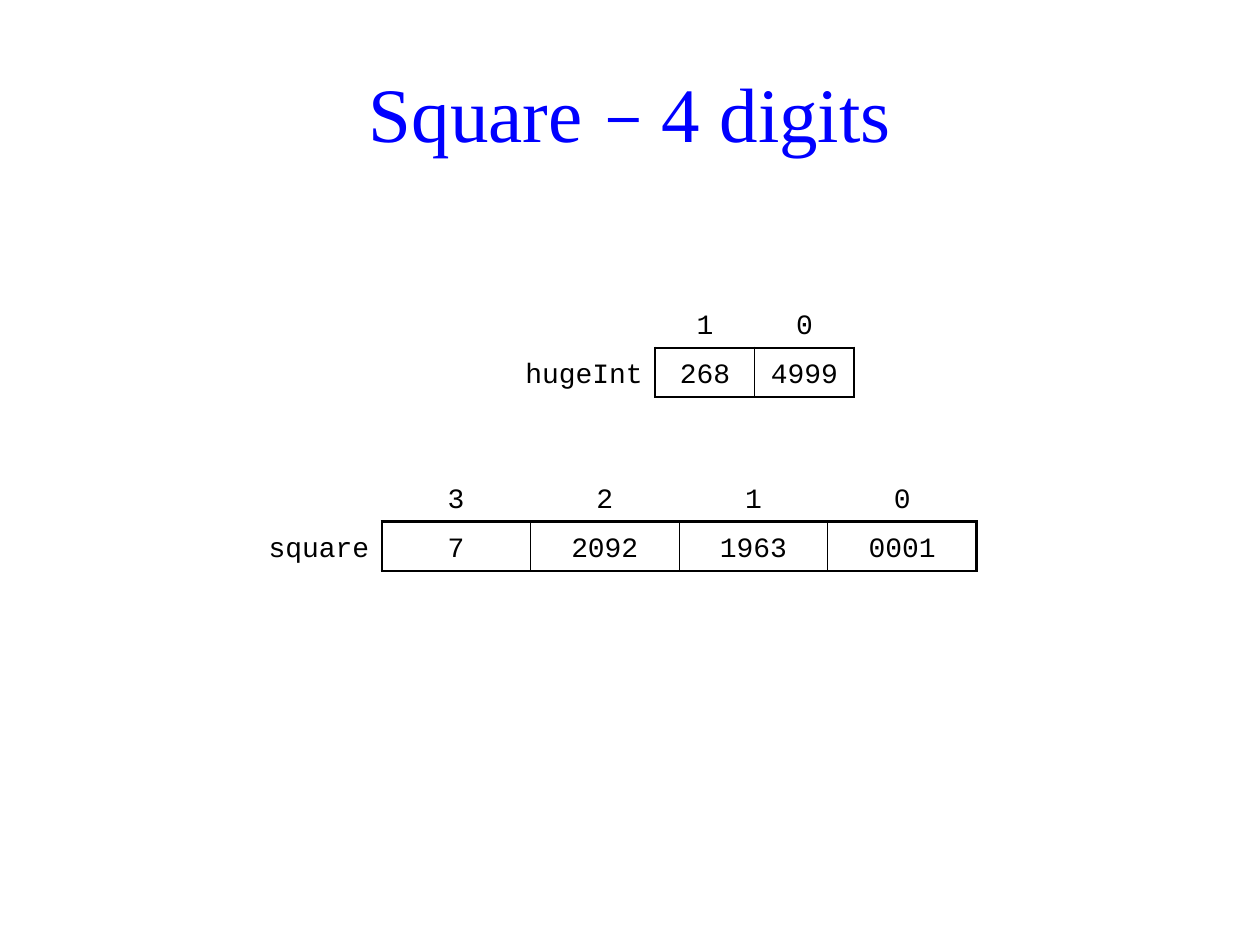
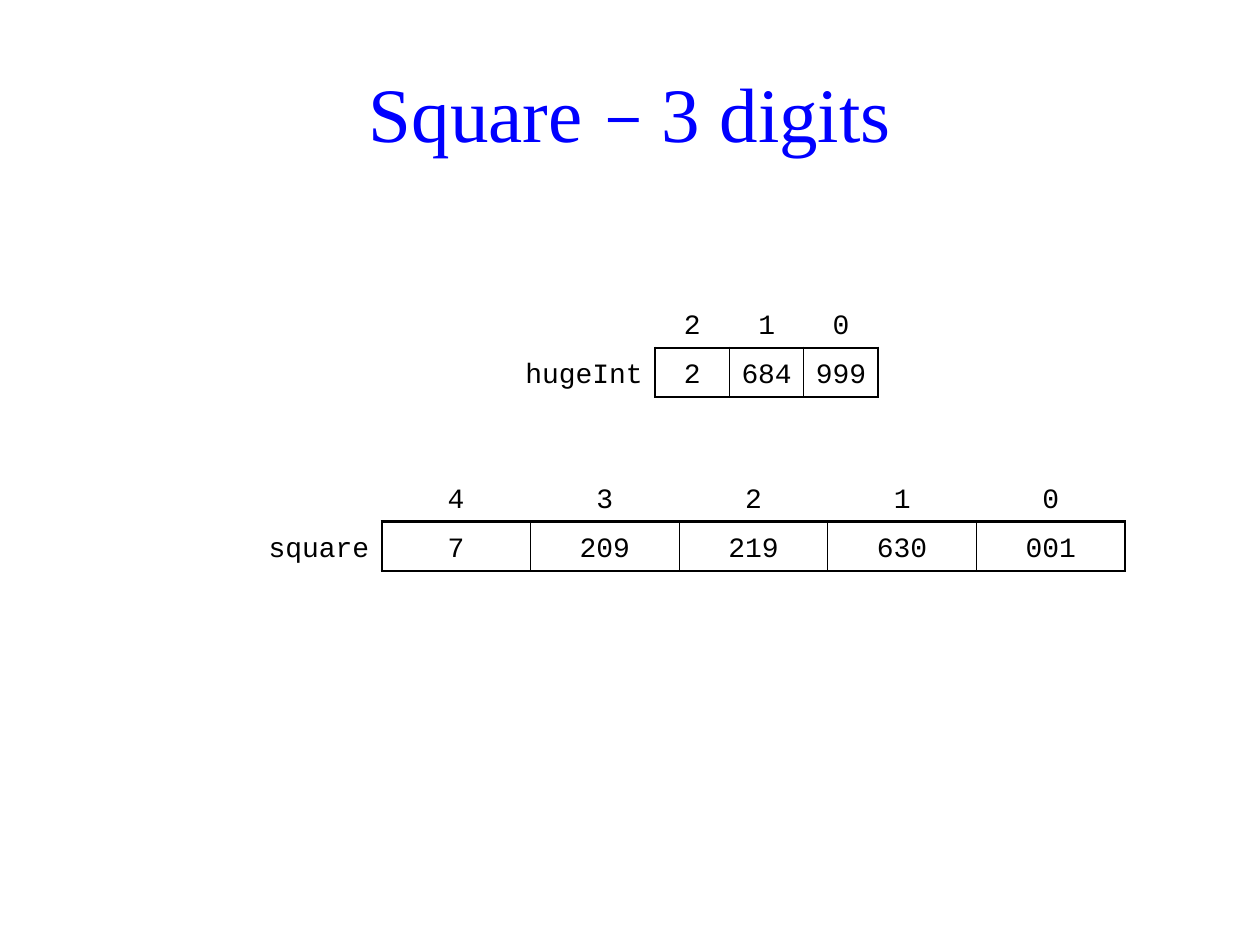
"""Build two slides showing a large integer and its square stored as digit groups."""
import lxml.etree
import pptx
import pptx.dml.color
import pptx.enum.text
import pptx.oxml.ns
import pptx.util

Inches = pptx.util.Inches
Pt = pptx.util.Pt
Align = pptx.enum.text.PP_ALIGN
Anchor = pptx.enum.text.MSO_ANCHOR
qn = pptx.oxml.ns.qn

BLUE = pptx.dml.color.RGBColor(0x00, 0x00, 0xFF)
BLACK = pptx.dml.color.RGBColor(0x00, 0x00, 0x00)
THICK, THIN = 1.5, 0.75
ROW_HEIGHT = 0.39

SLIDES = [
    ("4 digits", [
        ("square", 2.05, 3.75, 0.98, 1.18, ["7", "2092", "1963", "0001"]),
        ("hugeInt", 4.02, 2.37, 1.18, 0.79, ["268", "4999"]),
    ]),
    ("3 digits", [
        ("square", 2.05, 3.75, 0.98, 1.18, ["7", "209", "219", "630", "001"]),
        ("hugeInt", 4.02, 2.37, 1.18, 0.59, ["2", "684", "999"]),
    ]),
]


def set_borders(cell, widths):
    """Draw the given sides of a cell and clear the others."""
    properties = cell._tc.get_or_add_tcPr()
    for position, side in enumerate("LRTB"):
        line = lxml.etree.Element(qn(f"a:ln{side}"))
        properties.insert(position, line)
        if side in widths:
            line.set("w", str(Pt(widths[side])))
            fill = lxml.etree.SubElement(line, qn("a:solidFill"))
            lxml.etree.SubElement(fill, qn("a:srgbClr"), val=str(BLACK))
        else:
            lxml.etree.SubElement(line, qn("a:noFill"))


def fill_cell(cell, text, align, widths):
    """Write a cell's text and give it its format and borders."""
    cell.margin_left = cell.margin_top = cell.margin_bottom = 0
    cell.margin_right = Inches(0.1) if align == Align.RIGHT else 0
    cell.vertical_anchor = Anchor.MIDDLE
    cell.fill.background()
    para = cell.text_frame.paragraphs[0]
    para.text = text
    para.alignment = align
    para.line_spacing = 1.25
    for span in para.runs:
        span.font.name = "Courier New"
        span.font.size = Pt(16)
        span.font.color.rgb = BLACK
    set_borders(cell, widths)


deck = pptx.Presentation()
deck.slide_width = Inches(10)
deck.slide_height = Inches(7.5)

for digits, arrays in SLIDES:
    page = deck.slides.add_slide(deck.slide_layouts[6])

    box = page.shapes.add_textbox(Inches(0.47), Inches(0.4), Inches(9.06), Inches(0.98))
    box.text_frame.word_wrap = True
    box.text_frame.vertical_anchor = Anchor.MIDDLE
    para = box.text_frame.paragraphs[0]
    para.alignment = Align.CENTER
    for text, font in [("Square ", "Times New Roman"), ("− ", "Cambria"), (digits, "Times New Roman")]:
        span = para.add_run()
        span.text = text
        span.font.name = font
        span.font.size = Pt(44)
        span.font.color.rgb = BLUE

    for name, left, top, name_width, group_width, groups in arrays:
        count = len(groups)
        frame = page.shapes.add_table(
            2, count + 1, Inches(left), Inches(top),
            Inches(name_width + count * group_width), Inches(2 * ROW_HEIGHT))
        table = frame.table
        table.first_row = False
        table.horz_banding = False
        for row in table.rows:
            row.height = Inches(ROW_HEIGHT)
        table.columns[0].width = Inches(name_width)
        fill_cell(table.cell(0, 0), "", Align.RIGHT, {})
        fill_cell(table.cell(1, 0), name, Align.RIGHT, {"R": THICK})

        for column, group in enumerate(groups, start=1):
            table.columns[column].width = Inches(group_width)
            fill_cell(table.cell(0, column), str(count - column), Align.CENTER, {"B": THICK})
            fill_cell(table.cell(1, column), group, Align.CENTER, {
                "L": THICK if column == 1 else THIN,
                "R": THICK if column == count else THIN,
                "T": THICK,
                "B": THICK,
            })

deck.save("out.pptx")
